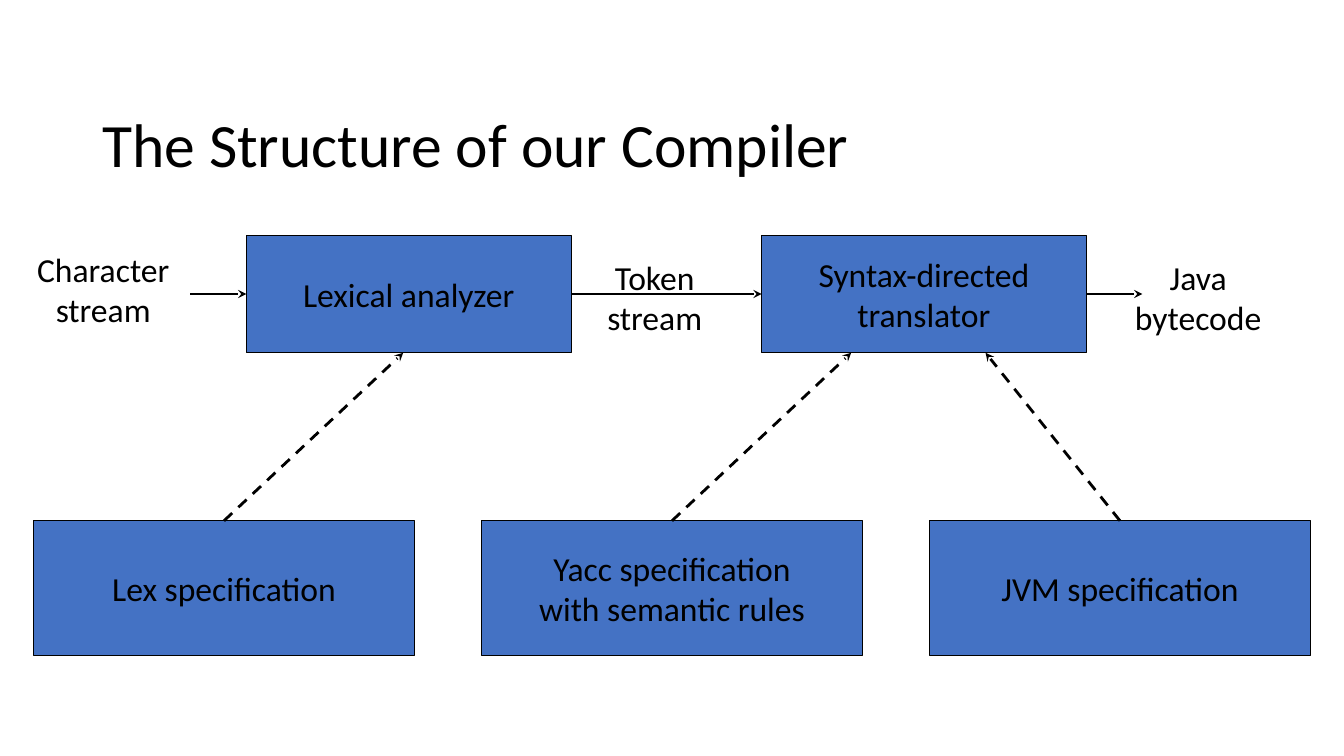
from lxml import etree
from pptx import Presentation
from pptx.dml.color import RGBColor
from pptx.enum.dml import MSO_LINE
from pptx.enum.shapes import MSO_CONNECTOR, MSO_SHAPE
from pptx.enum.text import MSO_ANCHOR, MSO_AUTO_SIZE, PP_ALIGN
from pptx.oxml.ns import qn
from pptx.util import Pt

RECTANGLE = MSO_SHAPE.RECTANGLE
STRAIGHT = MSO_CONNECTOR.STRAIGHT
DASH = MSO_LINE.DASH
CENTER = PP_ALIGN.CENTER
MIDDLE = MSO_ANCHOR.MIDDLE
BOTTOM = MSO_ANCHOR.BOTTOM
GROW = MSO_AUTO_SIZE.SHAPE_TO_FIT_TEXT

COLORS = {"ink": "000000", "box": "4472C4", "background": "FFFFFF"}
FONT = "Calibri"
TOP_SITE, LEFT_SITE, RIGHT_SITE = 0, 1, 3

STAGE_TOP, STAGE_WIDTH, STAGE_HEIGHT = 168, 232, 84
STAGE_MIDDLE = STAGE_TOP + STAGE_HEIGHT / 2
STAGE_BOTTOM = STAGE_TOP + STAGE_HEIGHT
LEXER_LEFT, TRANSLATOR_LEFT = 176, 544
OUTER_ARROW = 40

SPEC_TOP, SPEC_WIDTH, SPEC_HEIGHT = 372, 272, 96
SPEC_LEFT, SPEC_PITCH = 24, 320
# Each specification: its text and the x where its arrow meets the stage above.
SPECIFICATIONS = [
    ("Lex specification", 288),
    ("Yacc specification\nwith semantic rules", 608),
    ("JVM specification", 704),
]
# Each label: text, left, top, width.
LABELS = [
    ("Character\nstream", 18.7, 174.2, 110),
    ("Token\nstream", 426.2, 180, 83),
    ("Java\nbytecode", 802.8, 180, 106),
]
LABEL_HEIGHT = 65.5


def color(name):
    return RGBColor.from_string(COLORS[name])


def set_text(shape, text, size, alignment=None):
    paragraph = shape.text_frame.paragraphs[0]
    paragraph.text = text
    paragraph.alignment = alignment
    for run in paragraph.runs:
        run.font.name = FONT
        run.font.size = Pt(size)
        run.font.color.rgb = color("ink")
    return paragraph


def add_title(slide, text):
    title = slide.shapes.add_textbox(Pt(66), Pt(29), Pt(828), Pt(104))
    title.text_frame.word_wrap = True
    title.text_frame.vertical_anchor = BOTTOM
    set_text(title, text, 44).line_spacing = 0.9


def add_box(slide, text, left, top, width, height):
    box = slide.shapes.add_shape(RECTANGLE, Pt(left), Pt(top), Pt(width), Pt(height))
    box.shadow.inherit = False
    box.fill.solid()
    box.fill.fore_color.rgb = color("box")
    box.line.color.rgb = color("ink")
    box.line.width = Pt(0.75)
    box.text_frame.word_wrap = False
    box.text_frame.vertical_anchor = MIDDLE
    set_text(box, text, 24, CENTER)
    return box


def add_stage(slide, text, left):
    return add_box(slide, text, left, STAGE_TOP, STAGE_WIDTH, STAGE_HEIGHT)


def add_label(slide, text, left, top, width):
    label = slide.shapes.add_textbox(Pt(left), Pt(top), Pt(width), Pt(LABEL_HEIGHT))
    label.text_frame.word_wrap = False
    label.text_frame.auto_size = GROW
    set_text(label, text, 24, CENTER)


def add_arrow(slide, start, end, dash=None):
    arrow = slide.shapes.add_connector(STRAIGHT, *map(Pt, start + end))
    arrow.line.color.rgb = color("ink")
    arrow.line.width = Pt(2)
    if dash is not None:
        arrow.line.dash_style = dash
    properties = arrow.element.spPr
    etree.SubElement(properties.find(qn("a:ln")), qn("a:tailEnd"), type="stealth")
    etree.SubElement(properties, qn("a:effectLst"))
    return arrow


def add_flow_arrow(slide, start_x, end_x):
    return add_arrow(slide, (start_x, STAGE_MIDDLE), (end_x, STAGE_MIDDLE))


def add_specification(slide, text, left, target_x):
    box = add_box(slide, text, left, SPEC_TOP, SPEC_WIDTH, SPEC_HEIGHT)
    start = (left + SPEC_WIDTH / 2, SPEC_TOP)
    arrow = add_arrow(slide, start, (target_x, STAGE_BOTTOM), DASH)
    arrow.begin_connect(box, TOP_SITE)


def main():
    presentation = Presentation()
    presentation.slide_width = Pt(960)
    presentation.slide_height = Pt(540)
    slide = presentation.slides.add_slide(presentation.slide_layouts[6])
    slide.background.fill.solid()
    slide.background.fill.fore_color.rgb = color("background")

    add_title(slide, "The Structure of our Compiler")
    lexer = add_stage(slide, "Lexical analyzer", LEXER_LEFT)
    translator = add_stage(slide, "Syntax-directed\ntranslator", TRANSLATOR_LEFT)
    for label in LABELS:
        add_label(slide, *label)

    lexer_right = LEXER_LEFT + STAGE_WIDTH
    translator_right = TRANSLATOR_LEFT + STAGE_WIDTH
    characters = add_flow_arrow(slide, LEXER_LEFT - OUTER_ARROW, LEXER_LEFT)
    characters.end_connect(lexer, LEFT_SITE)
    tokens = add_flow_arrow(slide, lexer_right, TRANSLATOR_LEFT)
    tokens.begin_connect(lexer, RIGHT_SITE)
    tokens.end_connect(translator, LEFT_SITE)
    bytecode = add_flow_arrow(slide, translator_right, translator_right + OUTER_ARROW)
    bytecode.begin_connect(translator, RIGHT_SITE)

    for index, (text, target_x) in enumerate(SPECIFICATIONS):
        add_specification(slide, text, SPEC_LEFT + index * SPEC_PITCH, target_x)

    presentation.save("out.pptx")


if __name__ == "__main__":
    main()
